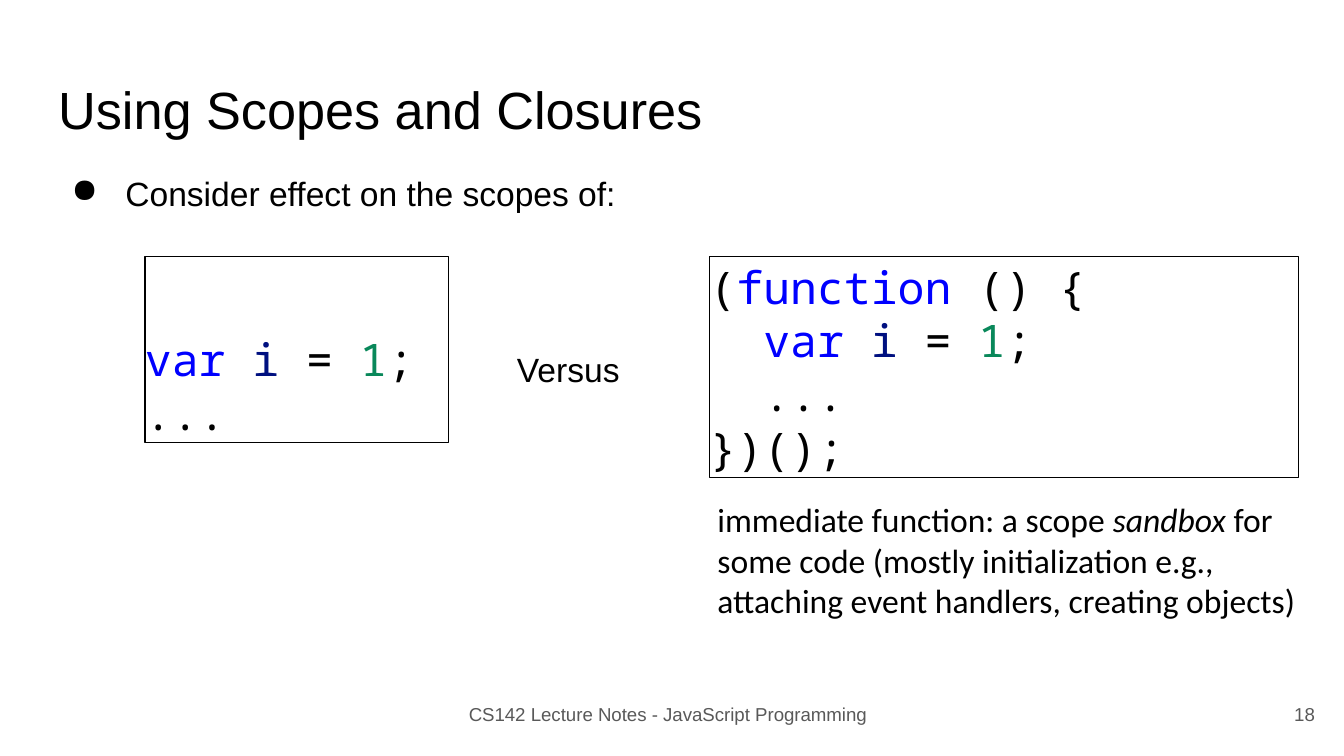
from lxml.etree import SubElement
from pptx import Presentation
from pptx.dml.color import RGBColor
from pptx.enum.shapes import MSO_SHAPE
from pptx.enum.text import MSO_ANCHOR, PP_ALIGN
from pptx.oxml.ns import qn
from pptx.util import Cm, Pt

BLACK = RGBColor(0x00, 0x00, 0x00)
GREY = RGBColor(0x59, 0x59, 0x59)
BLUE = RGBColor(0x00, 0x00, 0xFF)
NAVY = RGBColor(0x00, 0x10, 0x80)
GREEN = RGBColor(0x09, 0x88, 0x5A)

ASSIGN = [("var ", BLUE), ("i", NAVY), (" = ", BLACK), ("1", GREEN), (";", BLACK)]


def set_frame(frame, left=0, top=0):
    frame.word_wrap = True
    frame.vertical_anchor = MSO_ANCHOR.TOP
    frame.margin_left = frame.margin_right = Cm(left)
    frame.margin_top, frame.margin_bottom = Cm(top), 0


def set_font(para, size, name="Arial", color=BLACK):
    para.alignment = PP_ALIGN.LEFT
    para.font.size, para.font.name = Pt(size), name
    if color is not None:
        para.font.color.rgb = color


def add_text(slide, box, text, size, color=BLACK, top=0.06):
    """One line of text; returns its paragraph."""
    shape = slide.shapes.add_textbox(*map(Cm, box))
    set_frame(shape.text_frame, top=top)
    para = shape.text_frame.paragraphs[0]
    para.text = text
    set_font(para, size, color=color)
    return para


def add_point(slide, box, text):
    """Bulleted line with a hanging indent."""
    props = add_text(slide, box, text, 18)._p.get_or_add_pPr()
    props.set("marL", str(Cm(1.05)))
    props.set("indent", str(Cm(-1.02)))
    mark = SubElement(props, qn("a:buChar"))
    mark.set("char", "●")
    props.insert(0, mark)


def add_code(slide, box, lines, top):
    """Outlined box of coloured code."""
    shape = slide.shapes.add_shape(MSO_SHAPE.RECTANGLE, *map(Cm, box))
    shape.shadow.inherit = False
    shape.fill.background()
    shape.line.color.rgb, shape.line.width = BLACK, Pt(0.75)
    frame = shape.text_frame
    set_frame(frame, top=top)
    for row, parts in enumerate(lines):
        para = frame.add_paragraph() if row else frame.paragraphs[0]
        set_font(para, 24, "Noto Sans Mono", None)
        for text, color in parts:
            run = para.add_run()
            run.text, run.font.color.rgb = text, color


def add_note(slide, box):
    """Remark under the right code box."""
    shape = slide.shapes.add_textbox(*map(Cm, box))
    frame = shape.text_frame
    set_frame(frame, 0.25, 0.13)
    first, last = frame.paragraphs[0], frame.add_paragraph()
    first.add_run().text = "immediate function: a scope "
    word = first.add_run()
    word.text, word.font.italic = "sandbox", True
    first.add_run().text = " for "
    first.add_line_break()
    first.add_run().text = "some code (mostly initialization e.g., "
    last.text = "attaching event handlers, creating objects)"
    for para in frame.paragraphs:
        set_font(para, 18, "Calibri")


def add_footer(slide, left, top):
    """Course name and page number."""
    add_text(slide, (left, top, 7.8, 0.46),
             "CS142 Lecture Notes - JavaScript Programming", 10, GREY, 0)
    add_text(slide, (left + 15.6, top, 0.5, 0.46), "18", 10, GREY, 0)


deck = Presentation()
deck.slide_width, deck.slide_height = Cm(25.4), Cm(14.28)
slide = deck.slides.add_slide(deck.slide_layouts[6])

# Heading and point
add_text(slide, (1.1, 1.4, 12.4, 1.24), "Using Scopes and Closures", 28)
add_point(slide, (1.32, 3.2, 10.5, 0.84), "Consider effect on the scopes of:")

# Code compared
add_code(slide, (2.74, 4.85, 5.74, 3.51), [ASSIGN, [("...", BLACK)]], 1.42)
add_text(slide, (9.77, 6.53, 2.1, 0.84), "Versus", 18)
add_code(slide, (13.41, 4.85, 11.13, 4.17), [
    [("(", BLACK), ("function", BLUE), (" () {", BLACK)],
    [("  ", BLACK)] + ASSIGN,
    [("  ...", BLACK)],
    [("})();", BLACK)],
], 0.05)
add_note(slide, (13.31, 9.3, 11.6, 2.57))

# Footer
add_footer(slide, 8.86, 13.28)

deck.save("out.pptx")
